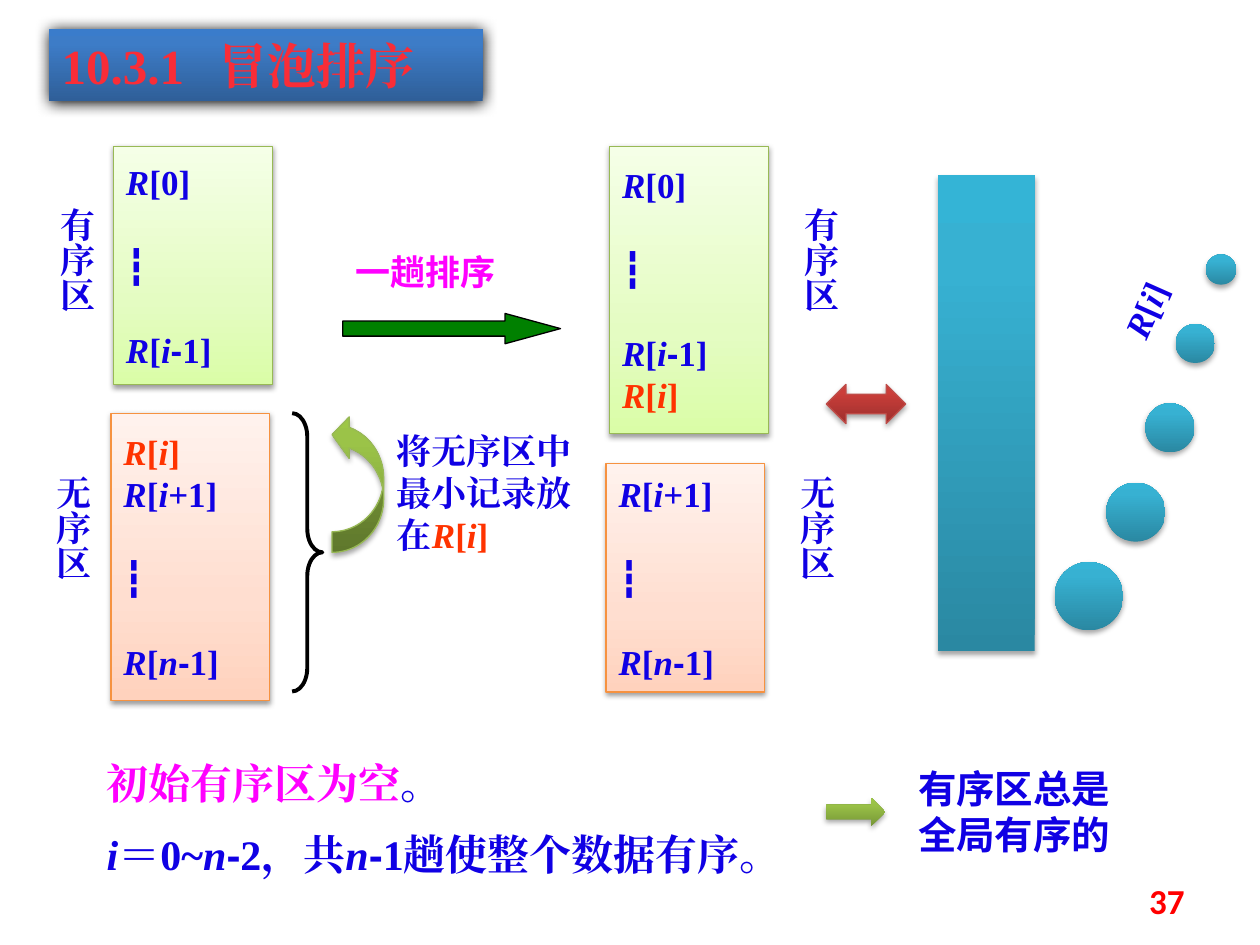
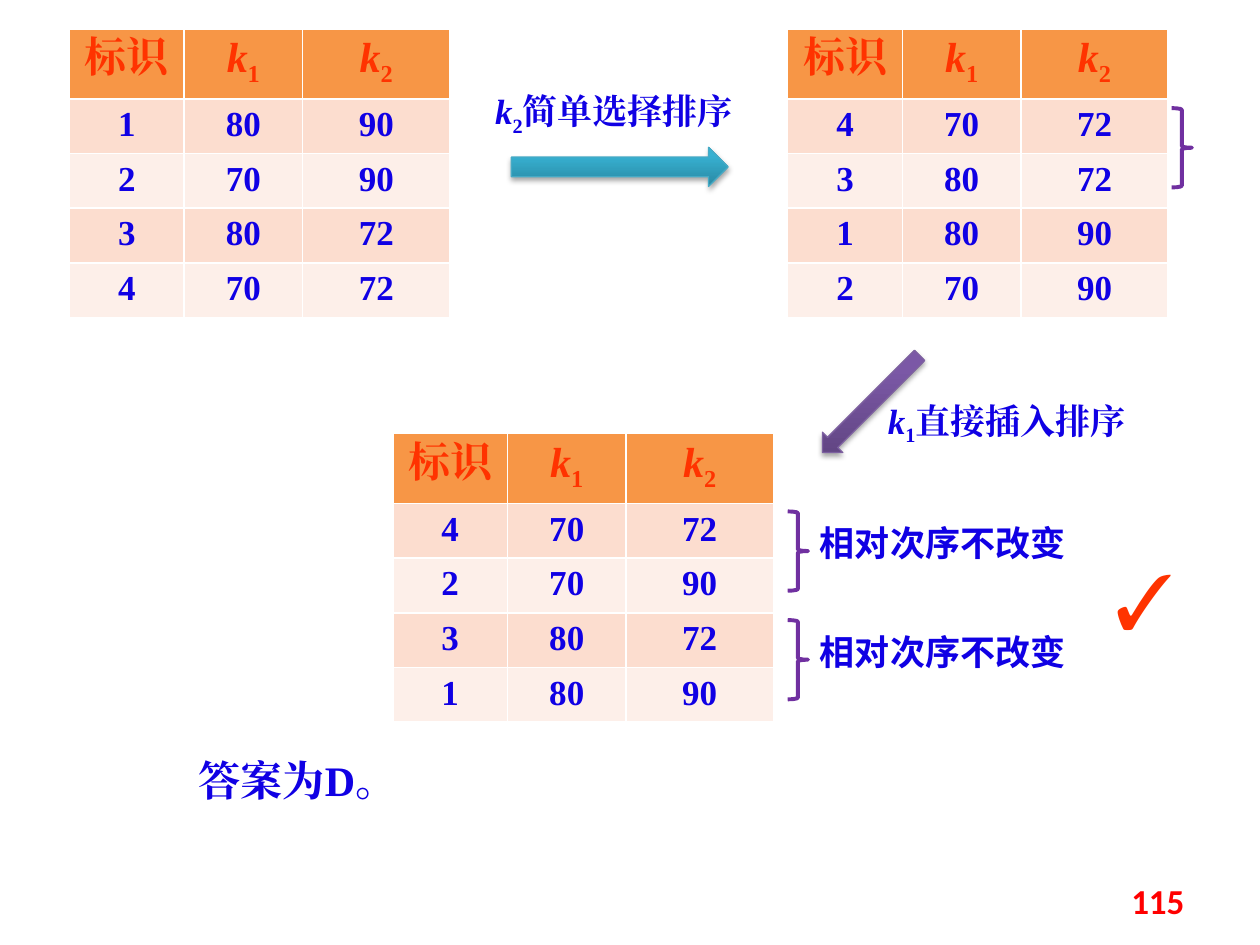
"""Build two slides on bubble sort and on sorting by two keys."""
from pptx import Presentation
from pptx.dml.color import RGBColor
from pptx.enum.shapes import MSO_SHAPE as Geo
from pptx.enum.text import MSO_ANCHOR as Anchor, MSO_AUTO_SIZE as Fit, PP_ALIGN as Align
from pptx.oxml import parse_xml
from pptx.oxml.ns import qn
from pptx.util import Cm, Pt
from lxml.etree import SubElement

BLUE = RGBColor(0x10, 0x00, 0xE4)
RED = RGBColor(0xFF, 0x33, 0x00)
PINK = RGBColor(0xFF, 0x00, 0xFF)
ROSE = RGBColor(0xF9, 0x2D, 0x37)
PURE = RGBColor(0xFF, 0x00, 0x00)
BLACK = RGBColor(0x00, 0x00, 0x00)
GREEN = RGBColor(0x00, 0x80, 0x00)
LIME = RGBColor(0x98, 0xB9, 0x55)
AMBER = RGBColor(0xF6, 0x92, 0x40)
BRICK = RGBColor(0xBF, 0x4C, 0x48)
AQUA = RGBColor(0x46, 0xAA, 0xC5)
PLUM = RGBColor(0x7D, 0x60, 0xA0)
VIOLET = RGBColor(0x70, 0x30, 0xA0)
HEAD = RGBColor(0xF7, 0x96, 0x46)
BANDS = RGBColor(0xFC, 0xDD, 0xCF), RGBColor(0xFD, 0xEF, 0xE9)

SERIF, SANS, PLAIN, FOOT = "Times New Roman", "Noto Sans CJK SC", "Arial", "Calibri"


def blend(mid, *tones):
    """Return gradient stops running from the bottom to the top."""
    return list(zip((0, mid, 100), (RGBColor.from_string(t) for t in tones)))


TEAL = blend(80, "2A88A2", "37B1D2", "34B4D6")
NAVY = blend(80, "2F5F99", "3D7CC7", "3A7CCB")
MINT = blend(35, "DAFDA7", "E4FCC2", "F5FFE7")
PEACH = blend(35, "FFD2BD", "FFDED0", "FFF2ED")
LEAF = blend(80, "779737", "9BC348", "9DC746")
WINE = blend(80, "9C2F2D", "CB3E3A", "CE3B37")
GRAPE = blend(80, "5F4480", "7B58A6", "7C57A8")
SOFT, PALE, DEEP = (35, 3.1, 1.8), (38, 3.1, 1.6), (100, 8.5, 1)


def ref(index, *tail, look=""):
    """Return the runs of an array item such as R[i+1]."""
    runs = [("R", "i" + look), ("[", look), (index, "i" + look)]
    return runs + [(t, "a" if t == "-" else look) for t in tail] + [("]", look)]


FIRST = [("R", "i"), ("[0]", "")]
DOTS = [("┇", "")]
PRIOR, ITEM = ref("i", "-", "1"), ref("i", look="r")
NEXT, LAST = ref("i", "+1"), ref("n", "-", "1")

ZONES = [
    (2.29, 2.95, 4.8, MINT, LIME, [FIRST, DOTS, PRIOR]),
    (2.24, 8.33, 5.79, PEACH, AMBER, [ITEM, NEXT, DOTS, LAST]),
    (12.29, 2.95, 5.79, MINT, LIME, [FIRST, DOTS, PRIOR, ITEM]),
    (12.22, 9.35, 4.6, PEACH, AMBER, [NEXT, DOTS, LAST]),
]
SIDES = [(0.74, 3.94, "有序区"), (0.66, 9.35, "无序区"),
         (15.72, 3.94, "有序区"), (15.65, 9.35, "无序区")]
BALLS = [(21.26, 11.33, 1.38), (22.3, 9.73, 1.19), (23.09, 8.13, 0.99),
         (23.7, 6.53, 0.79), (24.31, 5.13, 0.61)]
NOTES = [
    [("初始有序区为空", "m"), ("。", "")],
    [("i", "i"), ("＝0~", ""), ("n", "i"), ("-", "a"), ("2，共", ""),
     ("n", "i"), ("-", "a"), ("1趟使整个数据有序。", "")],
]

KEYS = [[("标识", "r")], [("k", "ir"), ("1", "r_")], [("k", "ir"), ("2", "r_")]]
ROWS = {1: (80, 90), 2: (70, 90), 3: (80, 72), 4: (70, 72)}
GRIDS = [(1.4, 0.58, (1, 2, 3, 4)), (15.88, 0.58, (4, 3, 1, 2)), (7.92, 8.74, (4, 2, 3, 1))]
COLS = 2.31, 2.39, 2.97
STEPS = [(9.73, 1.68, "2", "简单选择排序"), (17.65, 7.92, "1", "直接插入排序")]
SAME = "相对次序不改变"
BRACES = [(15.88, 10.31, SAME), (15.88, 12.5, SAME), (23.62, 2.18, "")]


def cm(*nums):
    """Turn plain numbers into lengths."""
    return [Cm(n) for n in nums]


def write(frame, paras, size=20, tone=BLUE, face=SERIF, align=None, gap=0):
    """Fill a frame run by run; a dotted line gets a full line of room on each side."""
    prior = None
    for k, runs in enumerate(paras):
        para = frame.paragraphs[0] if k == 0 else frame.add_paragraph()
        para.alignment = align
        if k:
            para.space_before = Pt(24 if DOTS in (runs, prior) else gap)
        for text, look in runs:
            run = para.add_run()
            run.text = text
            font = run.font
            font.size, font.bold, font.italic = Pt(size), True, "i" in look
            font.name = PLAIN if "a" in look else face
            font.color.rgb = RED if "r" in look else PINK if "m" in look else tone
            props = run._r.get_or_add_rPr()
            SubElement(props, qn("a:ea")).set("typeface", face)
            if "_" in look:
                props.set("baseline", "-25000")
        prior = runs


def label(slide, box, paras, anchor=Anchor.TOP, turn=0, **style):
    """Add a wrapped text box."""
    shape = slide.shapes.add_textbox(*cm(*box))
    shape.rotation = turn
    frame = shape.text_frame
    frame.word_wrap, frame.vertical_anchor = True, anchor
    write(frame, paras, **style)
    return frame


def paint(shape, fill=None, line=None, width=0.75, glow=None):
    """Set the fill, outline and shadow of a shape."""
    if isinstance(fill, RGBColor):
        shape.fill.solid()
        shape.fill.fore_color.rgb = fill
    else:
        shape.fill.background()
    space = 'xmlns:a="http://schemas.openxmlformats.org/drawingml/2006/main"'
    props = shape._element.spPr
    if isinstance(fill, list):
        stops = "".join(f'<a:gs pos="{p * 1000}"><a:srgbClr val="{c}"/></a:gs>' for p, c in fill)
        props.replace(props.find(qn("a:noFill")), parse_xml(
            f'<a:gradFill {space} rotWithShape="0"><a:gsLst>{stops}</a:gsLst>'
            '<a:lin ang="16200000" scaled="0"/></a:gradFill>'))
    if line is None:
        shape.line.fill.background()
    else:
        shape.line.color.rgb, shape.line.width = line, Pt(width)
    shape.shadow.inherit = False
    if glow:
        alpha, blur, dist = glow
        props.find(qn("a:effectLst")).append(parse_xml(
            f'<a:outerShdw {space} blurRad="{Pt(blur)}" dist="{Pt(dist)}" dir="5400000" '
            f'rotWithShape="0"><a:srgbClr val="000000"><a:alpha val="{alpha * 1000}"/>'
            '</a:srgbClr></a:outerShdw>'))


def draw(slide, geo, box, fill=None, line=None, adj=(), turn=0, **look):
    """Add a preset shape."""
    shape = slide.shapes.add_shape(geo, *cm(*box))
    for k, value in enumerate(adj):
        shape.adjustments[k] = value
    shape.rotation = turn
    paint(shape, fill, line, **look)
    return shape


def number(slide, text):
    """Add the slide number."""
    label(slide, (18.21, 17.65, 5.92, 1.02), [[(text, "")]], Anchor.MIDDLE,
          tone=PURE, face=FOOT, align=Align.RIGHT)


def head(slide):
    """Format the title as a blue band."""
    title = slide.shapes.title
    title.left, title.top, title.width, title.height = cm(0.99, 0.58, 8.74, 1.45)
    paint(title, NAVY, glow=DEEP)
    frame = title.text_frame
    frame.auto_size, frame.vertical_anchor = Fit.NONE, Anchor.MIDDLE
    tabs = SubElement(frame.paragraphs[0]._p.get_or_add_pPr(), qn("a:tabLst"))
    SubElement(tabs, qn("a:tab"), pos=str(Cm(3.17)), algn="l")
    write(frame, [[("10.3.1\t冒泡排序", "")]], size=28, tone=ROSE, align=Align.LEFT)


def bubble(slide):
    """Show one pass of bubble sort."""
    head(slide)
    for x, y, size in BALLS:
        draw(slide, Geo.OVAL, (x, y, size, size), TEAL, glow=SOFT)
    for x, y, tall, fill, line, paras in ZONES:
        zone = draw(slide, Geo.RECTANGLE, (x, y, 3.2, tall), fill, line, glow=PALE)
        zone.text_frame.vertical_anchor = Anchor.MIDDLE
        write(zone.text_frame, paras, align=Align.LEFT)
    for x, y, text in SIDES:
        frame = label(slide, (x, y, 1.37, 3), [[(text, "")]])
        frame._txBody.bodyPr.set("vert", "eaVert")
    draw(slide, Geo.RIGHT_BRACE, (5.89, 8.33, 0.61, 5.61), line=BLACK, width=2.25, adj=(0.78, 0.5))
    draw(slide, Geo.CURVED_UP_ARROW, (5.82, 9.22, 2.79, 1.04), LEAF, LIME,
         (0.4, 0.8, 0.33), 270, glow=SOFT)
    label(slide, (7.75, 8.53, 4.19, 2.79), [[("将无序区中最小记录放在", "")] + ITEM])
    draw(slide, Geo.RIGHT_ARROW, (6.91, 6.32, 4.39, 0.61), GREEN, BLACK, (0.5, 1.83))
    label(slide, (6.91, 4.93, 3.78, 1.09), [[("一趟排序", "m")]], face=SANS)
    label(slide, (1.9, 15.14, 14.38, 2.82), NOTES, size=24, gap=12)
    label(slide, (22.15, 5.54, 2.01, 1.09), [ref("i")], turn=294)
    draw(slide, Geo.RECTANGLE, (18.9, 3.53, 1.96, 9.6), TEAL, glow=SOFT)
    draw(slide, Geo.LEFT_RIGHT_ARROW, (16.66, 7.75, 1.6, 0.79), WINE, BRICK, glow=SOFT)
    draw(slide, Geo.RIGHT_ARROW, (16.66, 16.08, 1.19, 0.58), LEAF, glow=SOFT)
    label(slide, (18.26, 15.29, 4.95, 2.13), [[("有序区总是全局有序的", "")]], size=22, face=SANS)
    number(slide, "37")


def grid(slide, x, y, order):
    """Add a table of records in the given order."""
    table = slide.shapes.add_table(5, 3, *cm(x, y, sum(COLS), 5.8)).table
    for col, wide in zip(table.columns, COLS):
        col.width = Cm(wide)
    for k, row in enumerate(table.rows):
        row.height = Cm(1.1 if k else 1.4)
        cells = [[(str(v), "")] for v in (order[k - 1], *ROWS[order[k - 1]])] if k else KEYS
        for cell, runs in zip(row.cells, cells):
            cell.fill.solid()
            cell.fill.fore_color.rgb = BANDS[(k - 1) % 2] if k else HEAD
            write(cell.text_frame, [runs], size=20 if k else 24, align=Align.CENTER)


def records(slide):
    """Show the records after each of the two sorts."""
    label(slide, (3.76, 15.09, 5.36, 1.27), [[("答案为D。", "")]], size=24)
    for x, y, order in GRIDS:
        grid(slide, x, y, order)
    draw(slide, Geo.RIGHT_ARROW, (10.31, 2.97, 4.37, 0.79), TEAL, AQUA, glow=SOFT)
    draw(slide, Geo.DOWN_ARROW, (17.27, 6.76, 0.58, 2.77), GRAPE, PLUM, turn=45, glow=SOFT)
    for x, y, key, text in STEPS:
        label(slide, (x, y, 5.94, 1.12), [[("k", "i"), (key, "_"), (text, "")]])
    for x, y, text in BRACES:
        draw(slide, Geo.RIGHT_BRACE, (x, y, 0.41, 1.6), line=VIOLET, width=2.25)
        if text:
            label(slide, (x + 0.4, y + 0.08, 5.56, 1.12), [[(text, "")]], face=SANS)
    label(slide, (22.23, 11.02, 1.6, 2.13), [[("✓", "r")]], size=44)
    number(slide, "115")


def main():
    """Build and save the deck."""
    deck = Presentation()
    deck.slide_width, deck.slide_height = cm(25.4, 19.05)
    bubble(deck.slides.add_slide(deck.slide_layouts[5]))
    records(deck.slides.add_slide(deck.slide_layouts[6]))
    deck.save("out.pptx")


if __name__ == "__main__":
    main()
